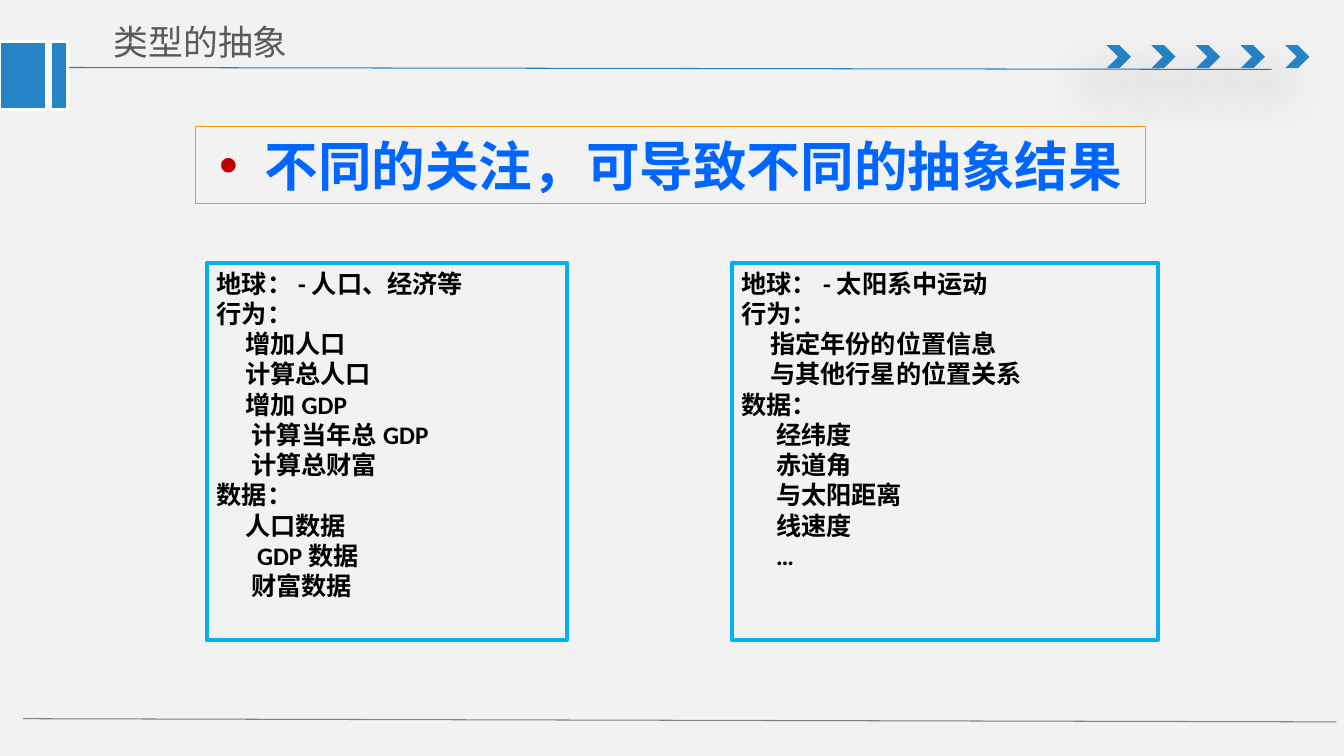
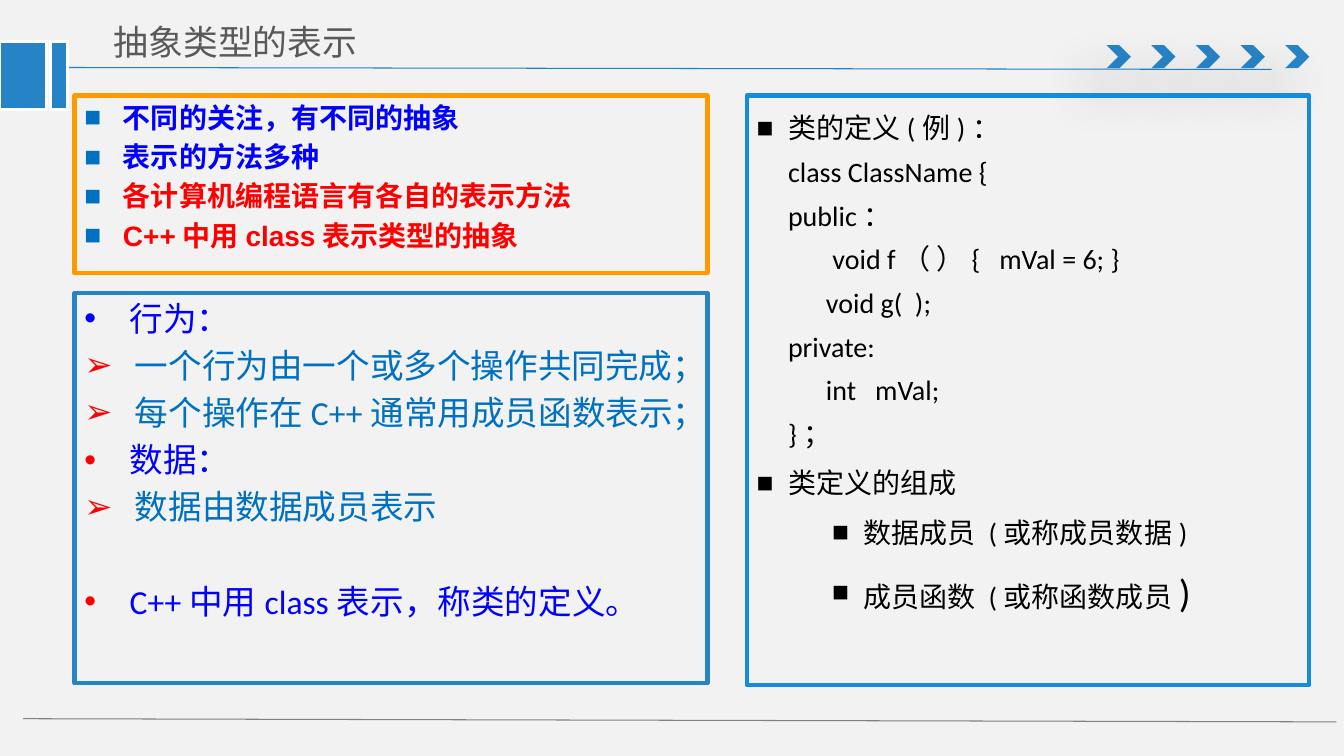
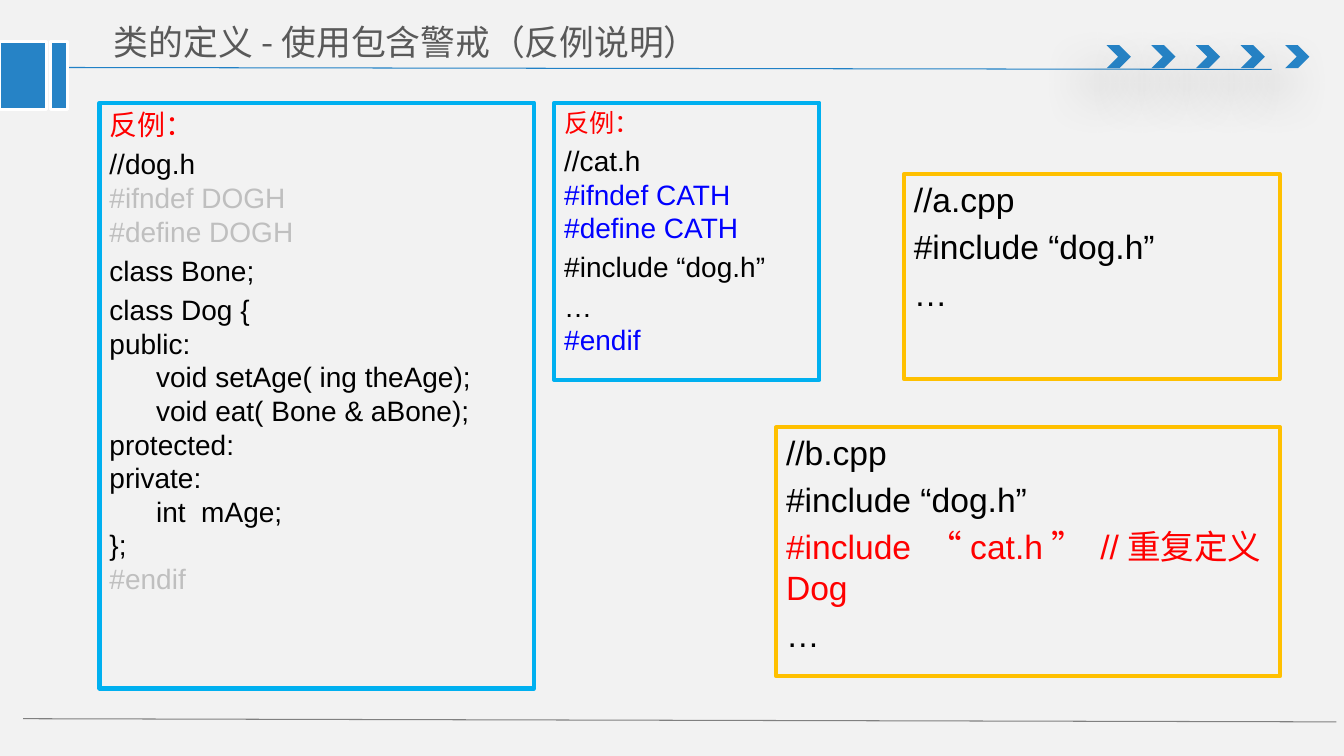
from dataclasses import dataclass

import pptx
import pptx.dml.color
import pptx.enum.shapes
import pptx.enum.text
import pptx.oxml.ns
import pptx.util
from lxml import etree

Cm = pptx.util.Cm
Pt = pptx.util.Pt
ALIGN = pptx.enum.text.PP_ALIGN
ANCHOR = pptx.enum.text.MSO_ANCHOR
SHAPE = pptx.enum.shapes.MSO_SHAPE
qn = pptx.oxml.ns.qn

COLORS = {
    "background": "F2F2F2", "accent": "2683C6", "rule": "2181C6",
    "footer": "808080", "title": "595959", "white": "FFFFFF",
    "black": "000000", "red": "FF0000", "blue": "0000FF",
    "headline": "0066FF", "dark_red": "C00000", "ocean": "0070C0",
    "sky": "00B0F0", "azure": "148BDC", "orange": "FF9900",
    "gold": "FFC000", "faded": "BFBFBF",
}
CJK = "Noto Sans CJK SC"


@dataclass(frozen=True)
class Span:
    text: str
    color: str = "black"
    size: float | None = None
    font: str | None = None


@dataclass(frozen=True)
class Line:
    spans: tuple[Span, ...]
    indent: float = 0
    hang: float = 0
    bullet: str = ""
    bullet_color: str = ""
    before: float | None = None
    level: int = 0


@dataclass(frozen=True)
class Panel:
    left: float
    top: float
    width: float
    height: float
    border: str
    lines: tuple[Line, ...]
    size: float
    font: str = "Calibri"
    bold: bool = False
    border_width: float = 3
    before: float = 0.2
    spacing: float | None = None
    align: ALIGN = ALIGN.LEFT
    anchor: ANCHOR = ANCHOR.TOP


def rgb(name: str) -> pptx.dml.color.RGBColor:
    return pptx.dml.color.RGBColor.from_string(COLORS[name])


def line(text: str, color: str = "black", **layout) -> Line:
    return Line((Span(text, color),), **layout)


def write_text(paragraph, text: str, *, size: float, font: str,
               color: str = "black", bold: bool = False) -> None:
    for index, piece in enumerate(text.split("\n")):
        if index:
            paragraph.add_line_break()
        if piece:
            run = paragraph.add_run()
            run.text = piece
            run.font.size = Pt(size)
            run.font.name = font
            run.font.bold = bold
            run.font.color.rgb = rgb(color)


def set_bullet(paragraph, entry: Line) -> None:
    properties = paragraph._p.get_or_add_pPr()
    properties.set("marL", str(Cm(entry.indent)))
    properties.set("indent", str(-Cm(entry.hang)))
    if entry.bullet_color:
        color = etree.SubElement(properties, qn("a:buClr"))
        etree.SubElement(color, qn("a:srgbClr"), val=COLORS[entry.bullet_color])
    if entry.bullet:
        etree.SubElement(properties, qn("a:buFont"), typeface="Arial")
        etree.SubElement(properties, qn("a:buChar"), char=entry.bullet)
    else:
        etree.SubElement(properties, qn("a:buNone"))


def add_block(slide, kind: SHAPE, left: float, top: float, width: float, height: float,
              *, fill: str = "", border: str = "", border_width: float = 0):
    block = slide.shapes.add_shape(kind, Cm(left), Cm(top), Cm(width), Cm(height))
    block.shadow.inherit = False
    if fill:
        block.fill.solid()
        block.fill.fore_color.rgb = rgb(fill)
    else:
        block.fill.background()
    if border:
        block.line.color.rgb = rgb(border)
        block.line.width = Pt(border_width)
    else:
        block.line.fill.background()
    return block


def add_rule(slide, x1: float, y1: float, x2: float, y2: float, color: str) -> None:
    rule = slide.shapes.add_connector(
        pptx.enum.shapes.MSO_CONNECTOR.STRAIGHT, Cm(x1), Cm(y1), Cm(x2), Cm(y2))
    rule.line.color.rgb = rgb(color)
    rule.line.width = Pt(0.75)
    etree.SubElement(rule._element.spPr, qn("a:effectLst"))


def add_soft_shadow(block) -> None:
    effects = block._element.spPr.find(qn("a:effectLst"))
    shadow = etree.SubElement(
        effects, qn("a:outerShdw"), blurRad=str(Pt(36)), dist=str(Pt(24)),
        dir=str(130 * 60000), rotWithShape="0")
    color = etree.SubElement(shadow, qn("a:srgbClr"), val=COLORS["black"])
    etree.SubElement(color, qn("a:alpha"), val="38000")


def add_frame(slide, title: str, title_width: float) -> None:
    add_rule(slide, 1.35, 1.7, 32.05, 1.75, "rule")
    for index in range(5):
        chevron = add_block(slide, SHAPE.CHEVRON, 27.89 + 1.125 * index, 1.14,
                            0.61, 0.58, fill="accent")
        add_soft_shadow(chevron)
    add_rule(slide, 0.58, 18.11, 33.68, 18.19, "footer")
    for left, width in ((0, 1.17), (1.27, 0.43)):
        add_block(slide, SHAPE.RECTANGLE, left, 1.04, width, 1.73,
                  fill="accent", border="white", border_width=2)
    heading = slide.shapes.add_textbox(Cm(2.51), Cm(0.36), Cm(title_width), Cm(1.4)).text_frame
    heading.word_wrap = True
    heading.vertical_anchor = ANCHOR.MIDDLE
    heading.margin_left = heading.margin_right = Cm(0.36)
    heading.margin_top = heading.margin_bottom = Cm(0.18)
    write_text(heading.paragraphs[0], title, size=24.9, font=CJK, color="title")


def add_panel(slide, panel: Panel) -> None:
    block = add_block(slide, SHAPE.RECTANGLE, panel.left, panel.top, panel.width, panel.height,
                      border=panel.border, border_width=panel.border_width)
    frame = block.text_frame
    frame.word_wrap = True
    frame.vertical_anchor = panel.anchor
    for index, entry in enumerate(panel.lines):
        paragraph = frame.add_paragraph() if index else frame.paragraphs[0]
        set_bullet(paragraph, entry)
        paragraph.alignment = panel.align
        paragraph.level = entry.level
        if panel.spacing:
            paragraph.line_spacing = panel.spacing
        if index:
            before = panel.before * panel.size if entry.before is None else entry.before
            paragraph.space_before = Pt(before)
        for span in entry.spans:
            write_text(paragraph, span.text, size=span.size or panel.size,
                       font=span.font or panel.font, color=span.color, bold=panel.bold)


def square(text: str, color: str) -> Line:
    return line(text, color, indent=0.97, hang=0.97, bullet="■", bullet_color="ocean")


def topic(text: str, bullet_color: str = "red", before: float | None = None) -> Line:
    return line(text, "blue", indent=1.14, hang=1.14, bullet="•",
                bullet_color=bullet_color, before=before)


def detail(text: str) -> Line:
    return line(text, "ocean", indent=1.27, hang=1.27, bullet="➢", bullet_color="red")


def member(*spans: Span) -> Line:
    return Line(spans, indent=2.69, hang=0.79, bullet="■", level=1)


def definition(text: str) -> Line:
    return line(text, indent=0.79, hang=0.79, bullet="■")


HEADLINE = Panel(
    4.93, 3.2, 23.95, 1.93, "orange",
    (line("不同的关注，可导致不同的抽象结果", "headline", indent=1.14, hang=1.14,
          bullet="•", bullet_color="dark_red"),),
    size=38.3, bold=True, border_width=0.75, align=ALIGN.CENTER, anchor=ANCHOR.MIDDLE)

SOCIETY = Panel(
    5.21, 6.63, 9.09, 9.5, "sky",
    (
        line("地球：-人口、经济等"),
        line("行为："),
        line("增加人口", indent=0.72),
        line("计算总人口", indent=0.72),
        line("增加GDP", indent=0.72),
        line("计算当年总GDP", indent=0.87),
        line("计算总财富", indent=0.87),
        line("数据："),
        line("人口数据", indent=0.72),
        line("GDP数据", indent=1.02),
        line("财富数据", indent=0.87),
    ),
    size=18, bold=True, before=0)

ASTRONOMY = Panel(
    18.44, 6.63, 10.74, 9.5, "sky",
    (
        line("地球：-太阳系中运动"),
        line("行为："),
        line("指定年份的位置信息", indent=0.72),
        line("与其他行星的位置关系", indent=0.72),
        line("数据："),
        *(line(text, indent=0.87) for text in ("经纬度", "赤道角", "与太阳距离", "线速度", "…")),
    ),
    size=18, bold=True, before=0)

VIEWPOINTS = Panel(
    1.88, 2.41, 15.95, 4.47, "orange",
    (
        square("不同的关注，有不同的抽象", "blue"),
        square("表示的方法多种", "blue"),
        square("各计算机编程语言有各自的表示方法", "red"),
        square("C++中用class表示类型的抽象", "red"),
    ),
    size=20, font="Arial", bold=True)

REPRESENTATION = Panel(
    1.88, 7.39, 15.95, 9.83, "accent",
    (
        topic("行为：", "blue"),
        detail("一个行为由一个或多个操作共同完成；"),
        detail("每个操作在C++通常用成员函数表示；"),
        topic("数据："),
        detail("数据由数据成员表示"),
        topic("C++中用class表示，称类的定义。", before=38.4),
    ),
    size=24)

CLASS_EXAMPLE = Panel(
    18.82, 2.41, 14.17, 14.86, "azure",
    (
        definition("类的定义(例)：\nclass ClassName {\npublic：\n"
                   "      void f（ ）{   mVal = 6; }\n      void g(  );\n"
                   "private:\n      int   mVal;\n}；"),
        definition("类定义的组成"),
        member(Span("数据成员 (或称成员数据)")),
        member(Span("成员函数 (或称函数成员"), Span(")", size=28)),
    ),
    size=20, spacing=1.3)

DOG_HEADER = Panel(
    2.51, 2.59, 10.95, 14.76, "sky",
    (
        line("反例：", "red"),
        Line((Span("//dog.h\n"), Span("#ifndef DOGH\n#define DOGH", "faded"))),
        line("class Bone;"),
        Line((
            Span("class Dog {\npublic:\n      void setAge( ing theAge);\n"
                 "      void eat( Bone & aBone);\nprotected:\nprivate:\n"
                 "      int  mAge;\n};\n"),
            Span("#endif", "faded"),
        )),
    ),
    size=20, font="Arial")

B_SOURCE = Panel(
    19.56, 10.77, 12.7, 6.27, "gold",
    (
        line("//b.cpp"),
        line("#include “dog.h”"),
        Line((
            Span("#include ", "red"),
            Span("“", "red", font=CJK),
            Span("cat.h", "red"),
            Span("”", "red", font=CJK),
            Span(" //重复定义Dog", "red"),
        )),
        line("…"),
    ),
    size=24, font="Arial")

A_SOURCE = Panel(
    22.78, 4.39, 9.47, 5.16, "gold",
    (line("//a.cpp"), line("#include “dog.h”"), line("…")),
    size=24, font="Arial")

CAT_HEADER = Panel(
    13.97, 2.59, 6.68, 6.99, "sky",
    (
        Line((Span("反例：", "red", size=18),)),
        Line((Span("//cat.h\n"), Span("#ifndef CATH\n#define CATH", "blue"))),
        line("#include “dog.h”"),
        Line((Span("…\n"), Span("#endif", "blue"))),
    ),
    size=20, font="Arial")

SLIDES = (
    ("类型的抽象", 11.76, (HEADLINE, SOCIETY, ASTRONOMY)),
    ("抽象类型的表示", 11.76, (VIEWPOINTS, REPRESENTATION, CLASS_EXAMPLE)),
    ("类的定义-使用包含警戒（反例说明）", 16.31, (DOG_HEADER, B_SOURCE, A_SOURCE, CAT_HEADER)),
)


def main() -> None:
    deck = pptx.Presentation()
    deck.slide_width = Cm(33.87)
    deck.slide_height = Cm(19.05)
    backdrop = deck.slide_master.background.fill
    backdrop.solid()
    backdrop.fore_color.rgb = rgb("background")
    for title, title_width, panels in SLIDES:
        slide = deck.slides.add_slide(deck.slide_layouts[6])
        add_frame(slide, title, title_width)
        for panel in panels:
            add_panel(slide, panel)
    deck.save("out.pptx")


if __name__ == "__main__":
    main()
